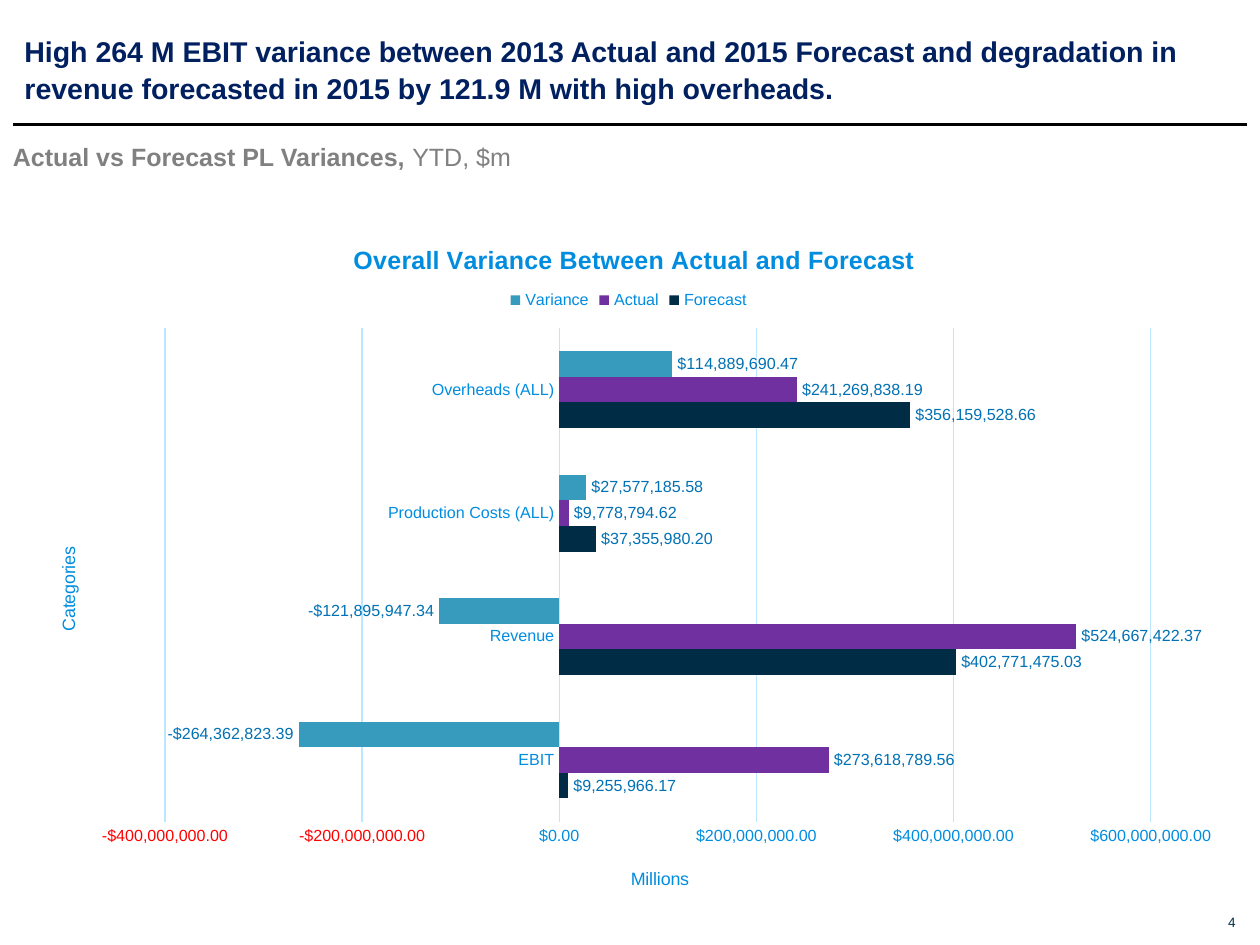
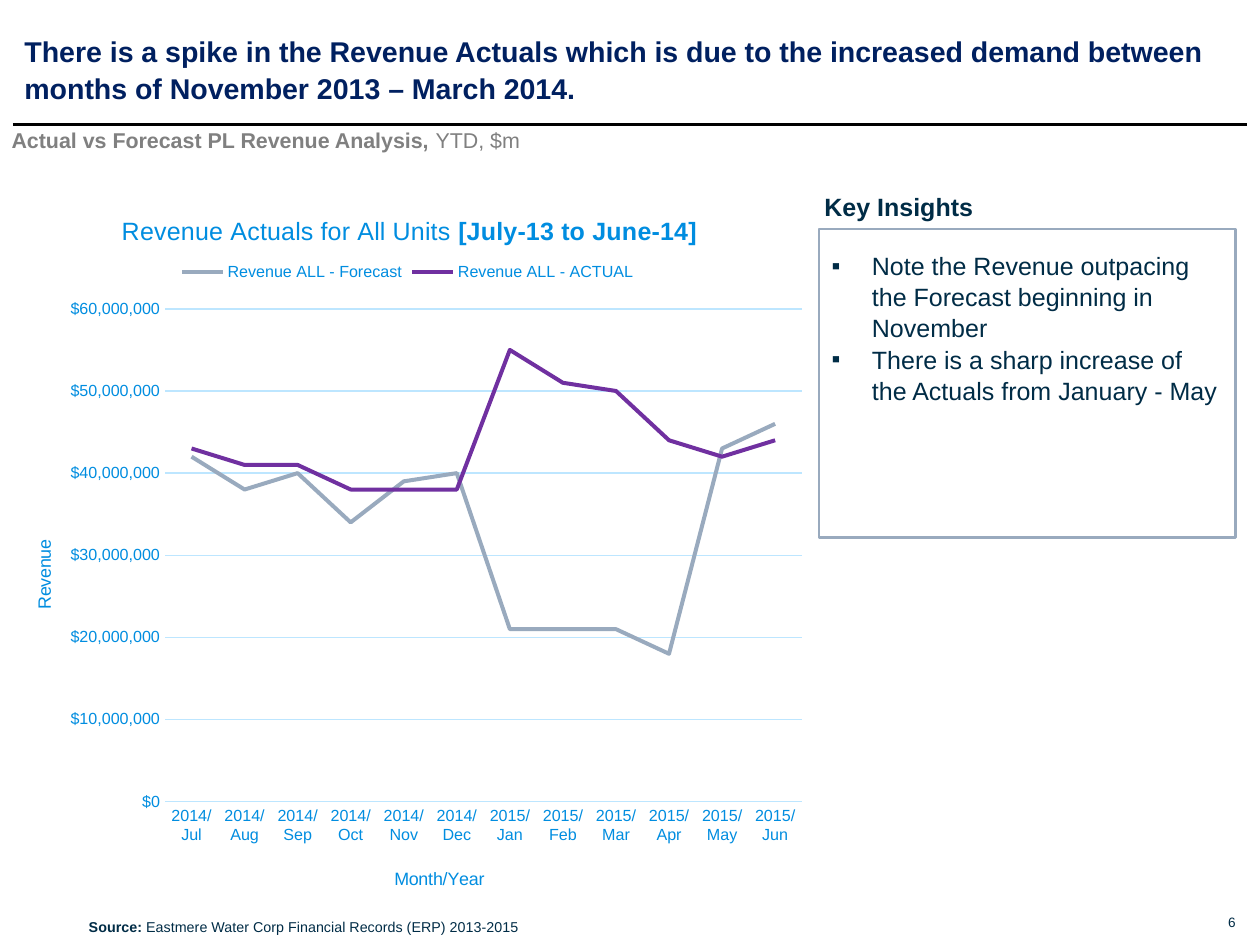
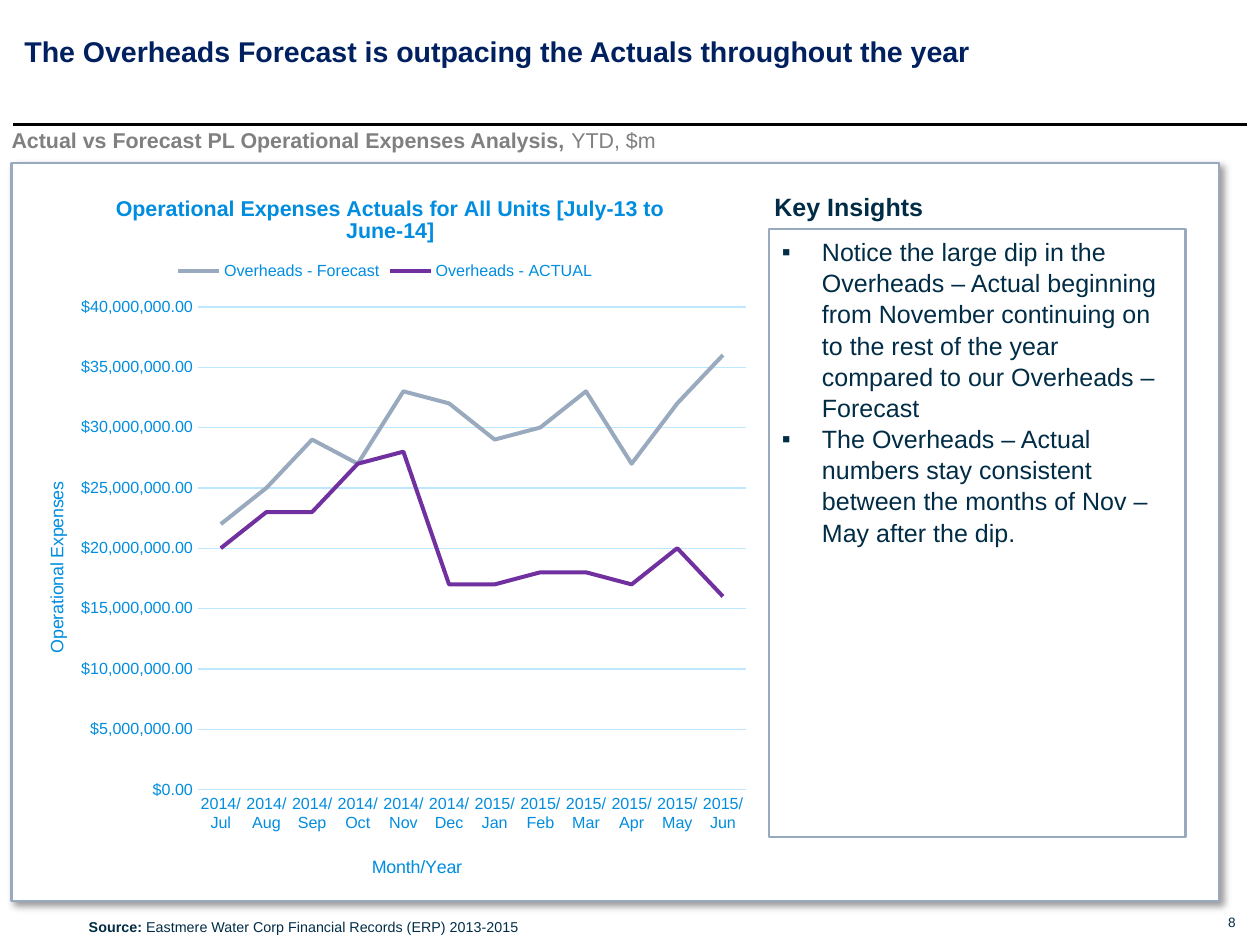
import lxml.etree
import pptx
import pptx.chart.data
import pptx.dml.color
import pptx.enum.chart
import pptx.enum.shapes
import pptx.enum.text
import pptx.oxml
import pptx.oxml.ns
import pptx.util

Pt = pptx.util.Pt
qn = pptx.oxml.ns.qn
ALIGN = pptx.enum.text.PP_ALIGN
CHART = pptx.enum.chart.XL_CHART_TYPE

# Shared look
FONT = "Arial"
NAVY, INK, GRAY, BLACK, WHITE = "002060", "002C46", "808080", "000000", "FFFFFF"
BLUE, LABEL, GRID = "008DE0", "0071B4", "BDE6FF"
STEEL, PURPLE, TEAL = "99AABE", "7030A0", "379BBD"
DOLLARS, CENTS = '"$"#,##0', '"$"#,##0.00'
RED_CENTS = CENTS + ';[Red]-"$"#,##0.00'
SOURCE = [("Source: ", True), ("Eastmere Water Corp Financial Records (ERP) 2013-2015", False)]
MONTHS = ["2014/" + m for m in ("Jul", "Aug", "Sep", "Oct", "Nov", "Dec")] + [
    "2015/" + m for m in ("Jan", "Feb", "Mar", "Apr", "May", "Jun")]
M = 1_000_000

# Content: all places are in points on the slide
SLIDES = [
    dict(
        number="4",
        title="High 264 M EBIT variance between 2013 Actual and 2015 Forecast and degradation in "
              "revenue forecasted in 2015 by 121.9 M with high overheads.",
        subtitle="Actual vs Forecast PL Variances, ", subtitle_at=(7.2, 79.2), subtitle_size=14,
        chart=dict(
            kind=CHART.BAR_CLUSTERED, box=(13.7, 118.8, 679, 392.4), plot=(92.4, 183.7, 552, 276.6),
            title=[("Overall Variance Between Actual and Forecast", True)], title_size=14,
            title_at=(195.4, 134), legend_at=(283, 160),
            cat_title="Categories", cat_at=(30, 304.5), val_title="Millions", val_at=(351.5, 484),
            scale=(-400 * M, 600 * M, 200 * M), format=RED_CENTS,
            cats=["EBIT", "Revenue", "Production Costs (ALL)", "Overheads (ALL)"],
            series=[
                ("Forecast", INK, [9255966.17, 402771475.03, 37355980.2, 356159528.66]),
                ("Actual", PURPLE, [273618789.56, 524667422.37, 9778794.62, 241269838.19]),
                ("Variance", TEAL, [-264362823.39, -121895947.34, 27577185.58, 114889690.47]),
            ]),
    ),
    dict(
        number="6",
        title="There is a spike in the Revenue Actuals which is due to the increased demand between "
              "months of November 2013 – March 2014.",
        subtitle="Actual vs Forecast PL Revenue Analysis, ", subtitle_at=(6.5, 71.3), subtitle_size=12,
        insights=["Note the Revenue outpacing the Forecast beginning in November",
                  "There is a sharp increase of the Actuals from January - May"],
        insights_box=(458.6, 128.2, 233.3, 172.8), insights_drop=7.9,
        chart=dict(
            kind=CHART.LINE, box=(0, 103.7, 458.6, 406.8), plot=(92.4, 173, 356.6, 276),
            title=[("Revenue Actuals for All Units ", False), ("[July-13 to June-14]", True)],
            title_size=14, title_at=(66, 118.5), legend_at=(99, 144.5),
            cat_title="Month/Year", cat_at=(219, 484), val_title="Revenue", val_at=(16.5, 300.5),
            scale=(0, 60 * M, 10 * M), format=DOLLARS, cats=MONTHS,
            series=[
                ("Revenue ALL - Forecast", STEEL,
                 [v * M for v in (42, 38, 40, 34, 39, 40, 21, 21, 21, 18, 43, 46)]),
                ("Revenue ALL - ACTUAL", PURPLE,
                 [v * M for v in (43, 41, 41, 38, 38, 38, 55, 51, 50, 44, 42, 44)]),
            ]),
    ),
    dict(
        number="8",
        title="The Overheads Forecast is outpacing the Actuals throughout the year",
        subtitle="Actual vs Forecast PL Operational Expenses Analysis, ",
        subtitle_at=(6.5, 71.3), subtitle_size=12,
        panel=(6.5, 91.4, 676.1, 413.3),
        insights=["Notice the large dip in the Overheads – Actual beginning from November continuing on "
                  "to the rest of the year compared to our Overheads – Forecast",
                  "The Overheads – Actual numbers stay consistent between the months of Nov – May "
                  "after the dip."],
        insights_box=(430.6, 128.2, 233.3, 340.6), insights_drop=0,
        chart=dict(
            kind=CHART.LINE, box=(6.5, 92.9, 419.8, 411.8), plot=(110.9, 171.9, 306.8, 270.4),
            title=[("Operational Expenses Actuals for All Units [July-13 to June-14]", True)],
            title_size=12, title_at=(62.7, 107), legend_at=(97, 143.5),
            cat_title="Month/Year", cat_at=(206.5, 477),
            val_title="Operational Expenses", val_at=(23.5, 268),
            scale=(0, 40 * M, 5 * M), format=CENTS, cats=MONTHS,
            series=[
                ("Overheads - Forecast", STEEL,
                 [v * M for v in (22, 25, 29, 27, 33, 32, 29, 30, 33, 27, 32, 36)]),
                ("Overheads - ACTUAL", PURPLE,
                 [v * M for v in (20, 23, 23, 27, 28, 17, 17, 18, 18, 17, 20, 16)]),
            ]),
    ),
]


# Helpers
def rgb(color):
    return pptx.dml.color.RGBColor.from_string(color)


def sub(parent, tag, **attrs):
    return lxml.etree.SubElement(parent, qn(tag), attrs)


def style_font(font, size, color, bold=False):
    font.name, font.size, font.bold = FONT, Pt(size), bold
    font.color.rgb = rgb(color)


def style_line(line, color, width):
    line.color.rgb = rgb(color)
    line.width = Pt(width)


def write(tf, paragraphs, size=14, color=INK, align=None, spacing=None, bullet=None):
    """Each paragraph is a list of (text, bold) runs."""
    for i, runs in enumerate(paragraphs):
        p = tf.add_paragraph() if i else tf.paragraphs[0]
        if align is not None:
            p.alignment = align
        if spacing:
            p.line_spacing = spacing
        if bullet:
            pPr = p._p.get_or_add_pPr()
            indent = Pt(22.5)
            pPr.set("marL", str(indent))
            pPr.set("indent", str(-indent))
            sub(sub(pPr, "a:buClr"), "a:srgbClr", val=color)
            sub(pPr, "a:buFont", typeface=FONT)
            sub(pPr, "a:buChar", char=bullet)
        for text, bold in runs:
            r = p.add_run()
            r.text = text
            style_font(r.font, size, color, bold)


def plain_frame(tf, anchor=pptx.enum.text.MSO_ANCHOR.TOP):
    tf.margin_left = tf.margin_right = tf.margin_top = tf.margin_bottom = 0
    tf.word_wrap = True
    tf.auto_size = pptx.enum.text.MSO_AUTO_SIZE.NONE
    tf.vertical_anchor = anchor


def add_text(s, box, paragraphs, **fmt):
    tf = s.shapes.add_textbox(*map(Pt, box)).text_frame
    plain_frame(tf)
    write(tf, paragraphs, **fmt)


def add_frame(s, box, fill=None, shadow=False):
    sp = s.shapes.add_shape(pptx.enum.shapes.MSO_SHAPE.RECTANGLE, *map(Pt, box))
    sp.shadow.inherit = False
    style_line(sp.line, STEEL, 1.5)
    if fill:
        sp.fill.solid()
        sp.fill.fore_color.rgb = rgb(fill)
    else:
        sp.fill.background()
    if shadow:
        effects = sp._element.spPr.find(qn("a:effectLst"))
        outer = sub(effects, "a:outerShdw", blurRad=str(Pt(4)), dist=str(Pt(3)),
                    dir="2700000", algn="tl", rotWithShape="0")
        sub(sub(outer, "a:srgbClr", val=BLACK), "a:alpha", val="40000")


def place(element, index, box, at):
    """Pin a chart part at slide points, inside the chart's box."""
    for old in element.findall(qn("c:layout")):
        element.remove(old)
    layout = lxml.etree.Element(qn("c:layout"))
    manual = sub(layout, "c:manualLayout")
    if len(at) == 4:
        sub(manual, "c:layoutTarget", val="inner")
    sub(manual, "c:xMode", val="edge")
    sub(manual, "c:yMode", val="edge")
    shares = [(at[0] - box[0]) / box[2], (at[1] - box[1]) / box[3]]
    if len(at) == 4:
        shares += [at[2] / box[2], at[3] / box[3]]
    for tag, share in zip("xywh", shares):
        sub(manual, "c:" + tag, val=f"{share:.4f}")
    element.insert(index, layout)


def add_axis_title(axis, text, box, at, upright):
    tf = axis.axis_title.text_frame
    write(tf, [[(text, False)]], size=10, color=BLUE)
    bodyPr = tf._txBody.find(qn("a:bodyPr"))
    bodyPr.set("rot", "-5400000" if upright else "0")
    bodyPr.set("vert", "horz")
    place(axis.axis_title._element, 1, box, at)


def add_chart(s, c):
    is_bar = c["kind"] == CHART.BAR_CLUSTERED
    box = c["box"]
    data = pptx.chart.data.CategoryChartData(number_format=c["format"])
    data.categories = c["cats"]
    for name, _, values in c["series"]:
        data.add_series(name, values)
    chart = s.shapes.add_chart(c["kind"], *map(Pt, box), data).chart
    style_font(chart.font, 10, INK)

    # Title and legend
    chart.has_title = True
    write(chart.chart_title.text_frame, [c["title"]], size=c["title_size"], color=BLUE)
    place(chart.chart_title._element, 1, box, c["title_at"])
    chart.has_legend = True
    chart.legend.position = pptx.enum.chart.XL_LEGEND_POSITION.TOP
    chart.legend.include_in_layout = False
    style_font(chart.legend.font, 9, BLUE)
    place(chart.legend._element, 1, box, c["legend_at"])

    # Axes
    cat, val = chart.category_axis, chart.value_axis
    for axis in (cat, val):
        axis.major_tick_mark = axis.minor_tick_mark = pptx.enum.chart.XL_TICK_MARK.NONE
        style_font(axis.tick_labels.font, 9, BLUE)
    style_line(cat.format.line, GRID, 0.75)
    val.format.line.fill.background()
    val.has_major_gridlines = True
    style_line(val.major_gridlines.format.line, GRID, 0.75)
    val.minimum_scale, val.maximum_scale, val.major_unit = c["scale"]
    val.tick_labels.number_format = c["format"]
    val.tick_labels.number_format_is_linked = False
    add_axis_title(cat, c["cat_title"], box, c["cat_at"], upright=is_bar)
    add_axis_title(val, c["val_title"], box, c["val_at"], upright=not is_bar)

    # Series
    plot = chart.plots[0]
    plot.vary_by_categories = False
    if is_bar:
        plot.gap_width, plot.overlap = 182, 0
    for series, (_, color, _) in zip(plot.series, c["series"]):
        if is_bar:
            series.invert_if_negative = False
            series.format.fill.solid()
            series.format.fill.fore_color.rgb = rgb(color)
            labels = series.data_labels
            labels.show_value = True
            labels.position = pptx.enum.chart.XL_LABEL_POSITION.OUTSIDE_END
            labels.number_format, labels.number_format_is_linked = CENTS, False
            style_font(labels.font, 9, LABEL)
        else:
            series.smooth = False
            series.marker.style = pptx.enum.chart.XL_MARKER_STYLE.NONE
            style_line(series.format.line, color, 2.25)
    place(chart._chartSpace.chart.plotArea, 0, box, c["plot"])


def add_base(prs, d):
    """Title, rule, subtitle and page number."""
    s = prs.slides.add_slide(prs.slide_layouts[5])
    title = s.shapes.title
    title.left, title.top, title.width, title.height = map(Pt, (13.7, 18, 679, 39))
    plain_frame(title.text_frame)
    write(title.text_frame, [[(d["title"], True)]], size=16, color=NAVY, align=ALIGN.LEFT, spacing=1.06)
    rule = s.shapes.add_connector(pptx.enum.shapes.MSO_CONNECTOR.STRAIGHT,
                                  Pt(7.2), Pt(69.8), Pt(698.4), Pt(69.8))
    style_line(rule.line, BLACK, 2)
    sub(rule._element.spPr, "a:effectLst")
    if "panel" in d:
        add_frame(s, d["panel"], fill=WHITE, shadow=True)
    add_text(s, (*d["subtitle_at"], 570, 18), [[(d["subtitle"], True), ("YTD, $m", False)]],
             size=d["subtitle_size"], color=GRAY)
    add_text(s, (672, 512, 20, 10), [[(d["number"], False)]], size=7.6, align=ALIGN.RIGHT)
    return s


def add_insights(s, d):
    left, top, width, height = d["insights_box"]
    add_frame(s, d["insights_box"])
    add_text(s, (left + 3, top - 20.9, 110, 18), [[("Key Insights", True)]])
    add_text(s, (left + 7.2, top + 3.6 + d["insights_drop"], width - 14.4, height - 15),
             [[(text, False)] for text in d["insights"]], spacing=1.04, bullet="▪")
    add_text(s, (49.7, 514.1, 300, 12), [SOURCE], size=8)


def main():
    prs = pptx.Presentation()
    prs.slide_width, prs.slide_height = Pt(705.6), Pt(529.2)
    for d in SLIDES:
        s = add_base(prs, d)
        if "insights" in d:
            add_insights(s, d)
        add_chart(s, d["chart"])
    prs.save("out.pptx")


if __name__ == "__main__":
    main()
